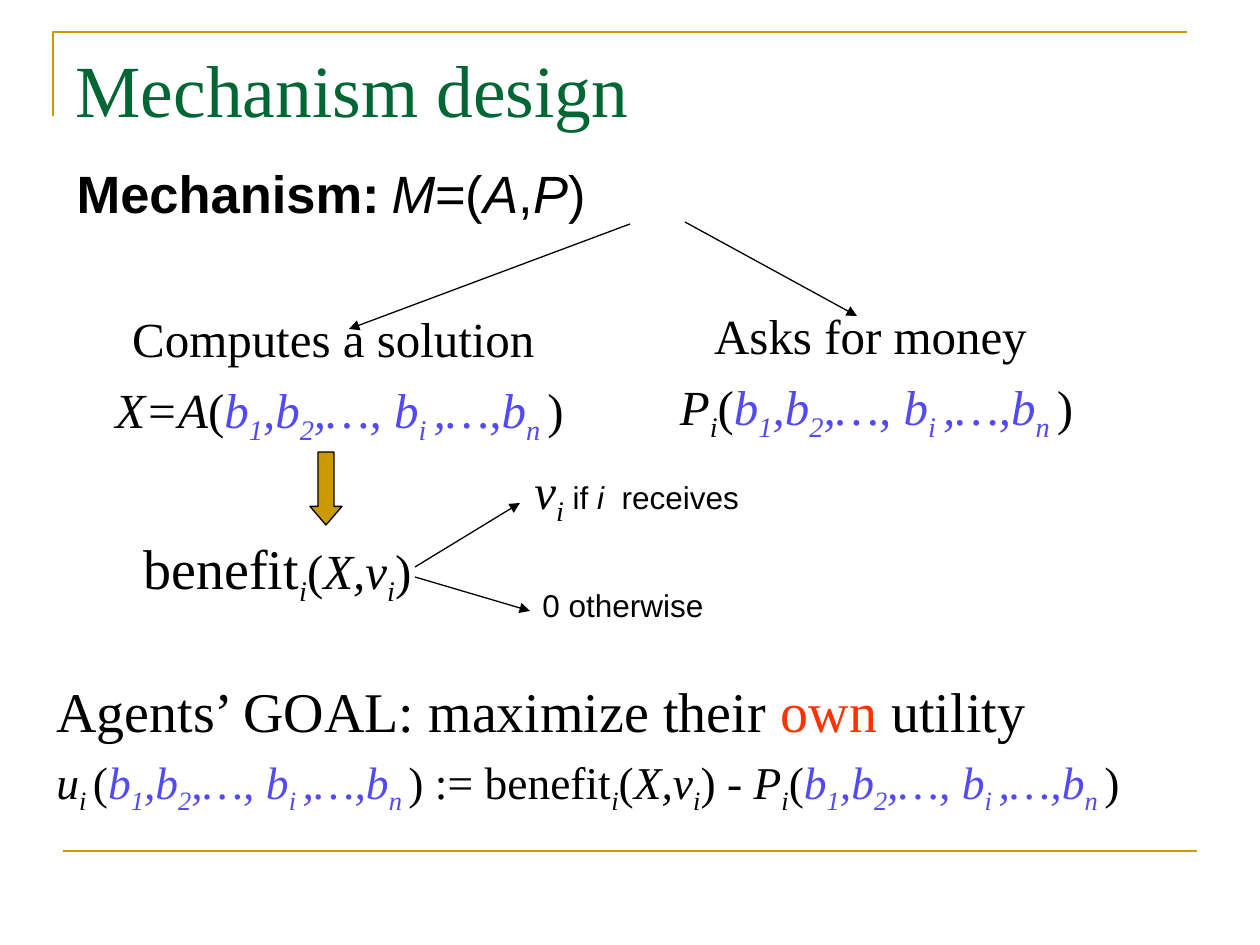
from lxml.etree import SubElement
from pptx import Presentation
from pptx.dml.color import RGBColor
from pptx.enum.shapes import MSO_CONNECTOR as CONN, MSO_SHAPE as SHAPE
from pptx.enum.text import MSO_ANCHOR as ANCHOR, MSO_AUTO_SIZE as AUTO, PP_ALIGN as ALIGN
from pptx.oxml.ns import qn
from pptx.util import Emu, Inches, Pt

SCALE = 914400 / 126
SERIF, SANS = "Times New Roman", "Arial"
BLACK, GOLD, GREEN = "000000", "CC9900", "006633"
COLORS = {"v": "524AF6", "r": "FF3300", "g": GREEN}

# A run is (text, style, size if it differs from its paragraph's).
# Style letters: b bold, i italic, s subscript; v violet, r red, g green.
BIDS = [("b", "iv"), ("1", "ivs"), (",b", "iv"), ("2", "ivs"), (",…, b", "iv"),
        ("i ", "ivs"), (",…,b", "iv"), ("n ", "ivs"), (")", "")]
PAY = [("P", "i"), ("i", "is"), ("(", ""), *BIDS]
VALUE = [("(", ""), ("X,v", "i"), ("i", "is")]

TITLE = [("Mechanism design", "g")]
BODY = [("Mechanism:", "b"), ("\t", ""), ("M", "i"), ("=(", ""), ("A", "i"),
        (",", ""), ("P", "i"), (")", "")]
GAP = 421  # tab stop before the formula

LEFT, MID, RIGHT = ALIGN.LEFT, ALIGN.CENTER, ALIGN.RIGHT
TIGHT = {"before": 7, "lines": 0.9}
# box, font, size, alignment, spacing, paragraphs
TEXTS = [
    ((100, 309, 479, 197), SERIF, 28, MID, TIGHT,
     [[("Computes a solution ", "")], [("X=A", "i"), ("(", ""), *BIDS]]),
    ((665, 306, 423, 197), SERIF, 28, MID, TIGHT,
     [[("Asks for money ", "")], PAY]),
    ((131, 527, 305, 87), SERIF, 28, RIGHT, {},
     [[("benefit", "", 32), ("i", "is"), *VALUE, (") ", "")]]),
    ((522, 454, 238, 79), SANS, 18, LEFT, {},
     [[("v", "im", 28), ("i", "ism", 28), (" if", ""), (" i ", "i"), (" receives", "")]]),
    ((530, 580, 186, 50), SANS, 18, LEFT, {}, [[("0 otherwise", "")]]),
]
GOAL = ((44, 670, 1131, 152), [
    (32, [("Agents’ GOAL: maximize their ", ""), ("own ", "r"), ("utility", "")]),
    (26, [("u", "i"), ("i ", "is"), ("(", ""), *BIDS, (" := benefit", ""),
          ("i", "is"), *VALUE, (") - ", ""), *PAY, (" ", "i", 32)]),
])
ARROWS = [((630, 224), (349, 329)), ((685, 222), (857, 316)),
          ((415, 567), (520, 503)), ((415, 577), (530, 611))]
BLOCK = (310, 452, 32, 73)
FRAME = [(53, 116), (53, 32), (1187, 32)]
RULE = ((63, 851), (1197, 851))


def px(n):
    return Emu(round(n * SCALE))


def rgb(code):
    return RGBColor.from_string(code)


def place(shape, box):
    shape.left, shape.top, shape.width, shape.height = map(px, box)


def write(para, runs, font, size, align=LEFT, before=0, lines=1.0):
    para.alignment, para.line_spacing, para.space_before = align, lines, Pt(before)
    for text, style, *own in runs:
        run = para.add_run()
        run.text = text
        face = run.font
        # m marks a serif symbol inside sans text
        face.name = SERIF if "m" in style else font
        face.size = Pt(own[0] if own else size)
        face.bold, face.italic = "b" in style, "i" in style
        code = next((COLORS[c] for c in style if c in COLORS), BLACK)
        face.color.rgb = rgb(code)
        if "s" in style:
            face._element.set("baseline", "-25000")


def setup(shape, box, wrap=True):
    """Place a text shape and return its frame, anchored at the top."""
    place(shape, box)
    frame = shape.text_frame
    frame.word_wrap, frame.auto_size = wrap, AUTO.NONE
    frame.vertical_anchor = ANCHOR.TOP
    return frame


def next_para(frame, first):
    return frame.paragraphs[0] if first else frame.add_paragraph()


def join(slide, start, end, color, width, head=False):
    line = slide.shapes.add_connector(CONN.STRAIGHT, *map(px, start + end))
    line.line.color.rgb, line.line.width = rgb(color), Pt(width)
    if head:
        SubElement(line.line._get_or_add_ln(), qn("a:tailEnd"), type="triangle")
    SubElement(line._element.spPr, qn("a:effectLst"))


def main():
    prs = Presentation()
    prs.slide_width, prs.slide_height = Inches(10), Inches(7.5)
    slide = prs.slides.add_slide(prs.slide_layouts[1])
    shapes = slide.shapes

    pen = shapes.build_freeform(*FRAME[0], scale=SCALE)
    pen.add_line_segments(FRAME[1:], close=False)
    frame = pen.convert_to_shape()
    frame.shadow.inherit = False
    frame.fill.background()
    frame.line.color.rgb, frame.line.width = rgb(GOLD), Pt(1.5)
    join(slide, *RULE, GOLD, 1.5)

    title = setup(shapes.title, (63, 38, 1134, 158))
    write(title.paragraphs[0], TITLE, SERIF, 42)
    body = setup(slide.placeholders[1], (64, 155, 1071, 567))
    para = body.paragraphs[0]
    write(para, BODY, SANS, 30, before=7.5)
    props = para._p.get_or_add_pPr()
    props.set("marL", "0")
    props.set("indent", "0")
    SubElement(props, qn("a:buNone"))
    tabs = SubElement(props, qn("a:tabLst"))
    SubElement(tabs, qn("a:tab"), pos=str(px(GAP)), algn="l")

    for box, font, size, align, gaps, paras in TEXTS:
        text = setup(shapes.add_textbox(0, 0, 0, 0), box, wrap=False)
        for i, runs in enumerate(paras):
            write(next_para(text, i == 0), runs, font, size, align, **gaps)

    box, paras = GOAL
    text = setup(shapes.add_textbox(0, 0, 0, 0), box)
    for i, (size, runs) in enumerate(paras):
        write(next_para(text, i == 0), runs, SERIF, size)

    block = shapes.add_shape(SHAPE.DOWN_ARROW, *map(px, BLOCK))
    block.adjustments[0], block.adjustments[1] = 0.5, 0.58
    block.shadow.inherit = False
    block.fill.solid()
    block.fill.fore_color.rgb = rgb(GOLD)
    block.line.color.rgb, block.line.width = rgb(BLACK), Pt(0.75)

    for start, end in ARROWS:
        join(slide, start, end, BLACK, 0.75, head=True)
    prs.save("out.pptx")


if __name__ == "__main__":
    main()
